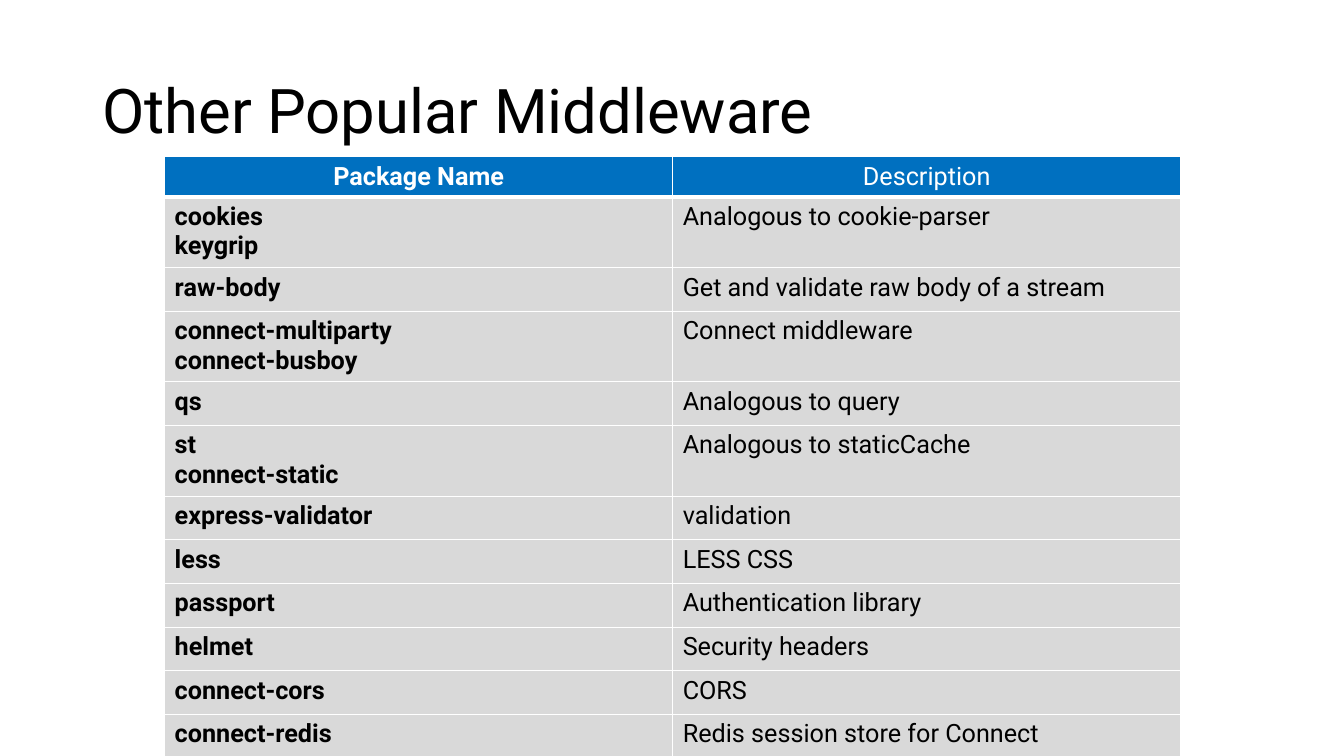
"""Build the slide that lists other popular middleware packages."""
from dataclasses import dataclass
from typing import Any

import lxml.etree
import pptx
import pptx.dml.color
import pptx.enum.text
import pptx.oxml.ns
import pptx.util

WHITE, BLACK, BLUE, GREY = "FFFFFF", "000000", "0070C0", "D9D9D9"
HEADER_HEIGHT, SINGLE_HEIGHT, DOUBLE_HEIGHT = 26.6, 31.2, 46.8
COLUMN_WIDTH = 362.9
THIN_BORDER, HEADER_BORDER = 1, 3
ALIGN = pptx.enum.text.PP_ALIGN


@dataclass(frozen=True)
class Package:
    names: tuple[str, ...]
    description: str

    @property
    def height(self) -> float:
        return DOUBLE_HEIGHT if len(self.names) > 1 else SINGLE_HEIGHT


PACKAGES = (
    Package(("cookies", "keygrip"), "Analogous to cookie-parser"),
    Package(("raw-body",), "Get and validate raw body of a stream"),
    Package(("connect-multiparty", "connect-busboy"), "Connect middleware"),
    Package(("qs",), "Analogous to query"),
    Package(("st", "connect-static"), "Analogous to staticCache"),
    Package(("express-validator",), "validation"),
    Package(("less",), "LESS CSS"),
    Package(("passport",), "Authentication library"),
    Package(("helmet",), "Security headers"),
    Package(("connect-cors",), "CORS"),
    Package(("connect-redis",), "Redis session store for Connect"),
)


def color(code: str) -> pptx.dml.color.RGBColor:
    return pptx.dml.color.RGBColor.from_string(code)


def apply(target: Any, values: dict[str, Any]) -> None:
    for name, value in values.items():
        setattr(target, name, value)


def write(frame: Any, lines: tuple[str, ...], size: float, ink: str,
          bold: bool, layout: dict[str, Any]) -> None:
    for index, line in enumerate(lines):
        para = frame.add_paragraph() if index else frame.paragraphs[0]
        apply(para, layout)
        span = para.add_run()
        span.text = line
        apply(span.font, {"name": "Roboto", "size": pptx.util.Pt(size), "bold": bold})
        span.font.color.rgb = color(ink)


def draw_borders(cell: Any, top: float, bottom: float) -> None:
    properties = cell._tc.get_or_add_tcPr()
    qn = pptx.oxml.ns.qn
    widths = {"a:lnL": THIN_BORDER, "a:lnR": THIN_BORDER, "a:lnT": top, "a:lnB": bottom}
    for tag, width in widths.items():
        line = lxml.etree.SubElement(properties, qn(tag), w=str(int(pptx.util.Pt(width))))
        fill = lxml.etree.SubElement(line, qn("a:solidFill"))
        lxml.etree.SubElement(fill, qn("a:srgbClr"), val=WHITE)


def draw_title(page: Any) -> None:
    box = page.shapes.add_textbox(*map(pptx.util.Pt, (66, 28.75, 828, 104.4)))
    apply(box.text_frame, {"word_wrap": True,
                           "vertical_anchor": pptx.enum.text.MSO_ANCHOR.MIDDLE})
    write(box.text_frame, ("Other Popular Middleware",), 44, BLACK, False,
          {"line_spacing": 0.9})


def draw_table(page: Any) -> None:
    heights = [HEADER_HEIGHT, *(package.height for package in PACKAGES)]
    rows = [(("Package Name",), ("Description",)),
            *((package.names, (package.description,)) for package in PACKAGES)]
    bounds = (117.6, 111.9, 2 * COLUMN_WIDTH, sum(heights))
    table = page.shapes.add_table(len(rows), 2, *map(pptx.util.Pt, bounds)).table
    for column in table.columns:
        column.width = pptx.util.Pt(COLUMN_WIDTH)
    for index, (height, texts) in enumerate(zip(heights, rows)):
        table.rows[index].height = pptx.util.Pt(height)
        header = index == 0
        for position, lines in enumerate(texts):
            cell = table.cell(index, position)
            draw_borders(cell, HEADER_BORDER if index == 1 else THIN_BORDER,
                         HEADER_BORDER if header else THIN_BORDER)
            cell.fill.solid()
            cell.fill.fore_color.rgb = color(BLUE if header else GREY)
            write(cell.text_frame, lines, 18, WHITE if header else BLACK, position == 0,
                  {"alignment": ALIGN.CENTER if header else ALIGN.LEFT})


def main() -> None:
    deck = pptx.Presentation()
    apply(deck, {"slide_width": pptx.util.Pt(960), "slide_height": pptx.util.Pt(540)})
    page = deck.slides.add_slide(deck.slide_layouts[6])
    draw_title(page)
    draw_table(page)
    deck.save("out.pptx")


if __name__ == "__main__":
    main()
